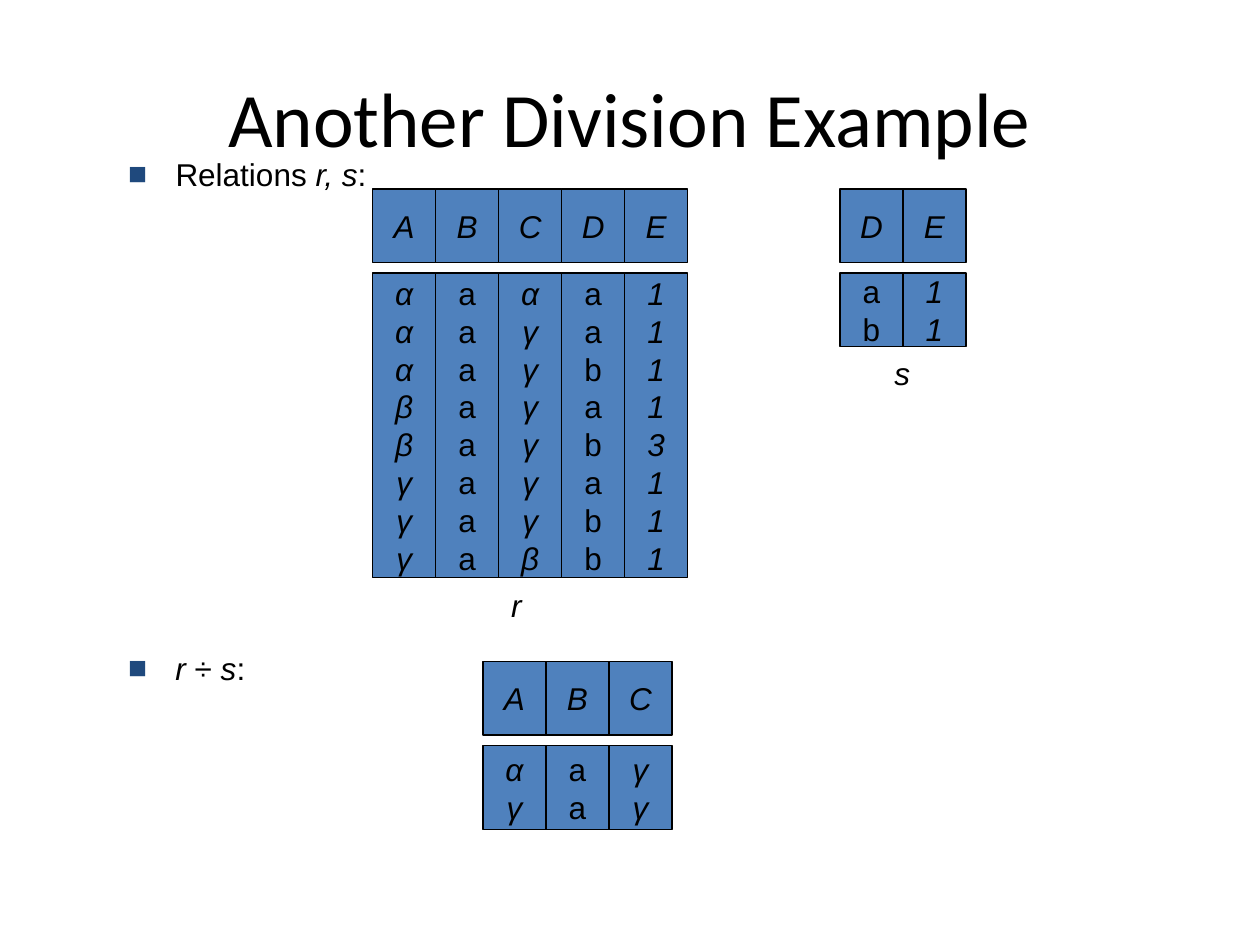
"""Build the slide that works through a relational division example."""
import pptx
import pptx.dml.color
import pptx.enum.shapes
import pptx.enum.text
import pptx.util
from lxml import etree

Pt = pptx.util.Pt
CENTER = pptx.enum.text.PP_ALIGN.CENTER
MIDDLE = pptx.enum.text.MSO_ANCHOR.MIDDLE


def color(value):
    """Turn a hex string into a colour."""
    return pptx.dml.color.RGBColor.from_string(value)


def style(span, italic=False, size=18, name="Arial"):
    """Format one run of text."""
    span.font.size = Pt(size)
    span.font.name = name
    span.font.italic = italic
    span.font.color.rgb = color("000000")


deck = pptx.Presentation()
deck.slide_width, deck.slide_height = Pt(720), Pt(540)
page = deck.slides.add_slide(deck.slide_layouts[5])

title = page.shapes.title
title.left, title.top, title.width, title.height = Pt(36), Pt(21.6), Pt(648), Pt(90)
title.text_frame.text = "Another Division Example"
title.text_frame.vertical_anchor = MIDDLE
title.text_frame.paragraphs[0].alignment = CENTER
style(title.text_frame.paragraphs[0].runs[0], size=44, name="Calibri")

column_width, header_height, body_offset = 36, 42, 48
relations = [
    (213, 108, 174, {"A": "αααββγγγ", "B": "aaaaaaaa", "C": "αγγγγγγβ",
                     "D": "aabababb", "E": "11113111"}),
    (480, 108, 42, {"D": "ab", "E": "11"}),
    (276, 378, 48, {"A": "αγ", "B": "aa", "C": "γγ"}),
]
for left, top, body_height, columns in relations:
    for index, (header, values) in enumerate(columns.items()):
        cells = [(top, header_height, header), (top + body_offset, body_height, values)]
        for cell_top, height, letters in cells:
            box = page.shapes.add_shape(
                pptx.enum.shapes.MSO_SHAPE.RECTANGLE,
                Pt(left + index * column_width), Pt(cell_top), Pt(column_width), Pt(height))
            box.shadow.inherit = False
            box.fill.solid()
            box.fill.fore_color.rgb = color("4F81BD")
            box.line.color.rgb = color("000000")
            box.line.width = Pt(0.75)
            frame = box.text_frame
            frame.word_wrap = False
            frame.vertical_anchor = MIDDLE
            frame.text = "\n".join(letters)
            for para in frame.paragraphs:
                para.alignment = CENTER
                style(para.runs[0], italic=para.text not in "ab")

bullets = [
    (85, 168, [("Relations ", False), ("r, s", True), (":", False)]),
    (367.2, 102, [("r ", True), ("÷ ", False), ("s", True), (":", False)]),
]
for top, width, pieces in bullets:
    box = page.shapes.add_textbox(Pt(66.2), Pt(top), Pt(width), Pt(26))
    box.text_frame.word_wrap = True
    para = box.text_frame.paragraphs[0]
    para.space_before = Pt(7.9)
    for words, italic in pieces:
        span = para.add_run()
        span.text = words
        style(span, italic)
    properties = para._p.get_or_add_pPr()
    properties.set("marL", str(Pt(27)))
    properties.set("indent", str(-Pt(27)))
    namespace = "{http://schemas.openxmlformats.org/drawingml/2006/main}"
    bullet_color = etree.SubElement(properties, namespace + "buClr")
    etree.SubElement(bullet_color, namespace + "srgbClr", val="1F497D")
    etree.SubElement(properties, namespace + "buSzPct", val="100000")
    etree.SubElement(properties, namespace + "buFont", typeface="Arial")
    etree.SubElement(properties, namespace + "buChar", char="■")

for name, left, top, width in [("r", 285, 331.2, 20), ("s", 504, 198.7, 23)]:
    box = page.shapes.add_textbox(Pt(left), Pt(top), Pt(width), Pt(29))
    frame = box.text_frame
    frame.word_wrap = False
    frame.auto_size = pptx.enum.text.MSO_AUTO_SIZE.SHAPE_TO_FIT_TEXT
    frame.vertical_anchor = MIDDLE
    frame.text = name
    para = frame.paragraphs[0]
    para.alignment = CENTER
    para.space_before = Pt(11.2)
    style(para.runs[0], italic=True)

deck.save("out.pptx")
